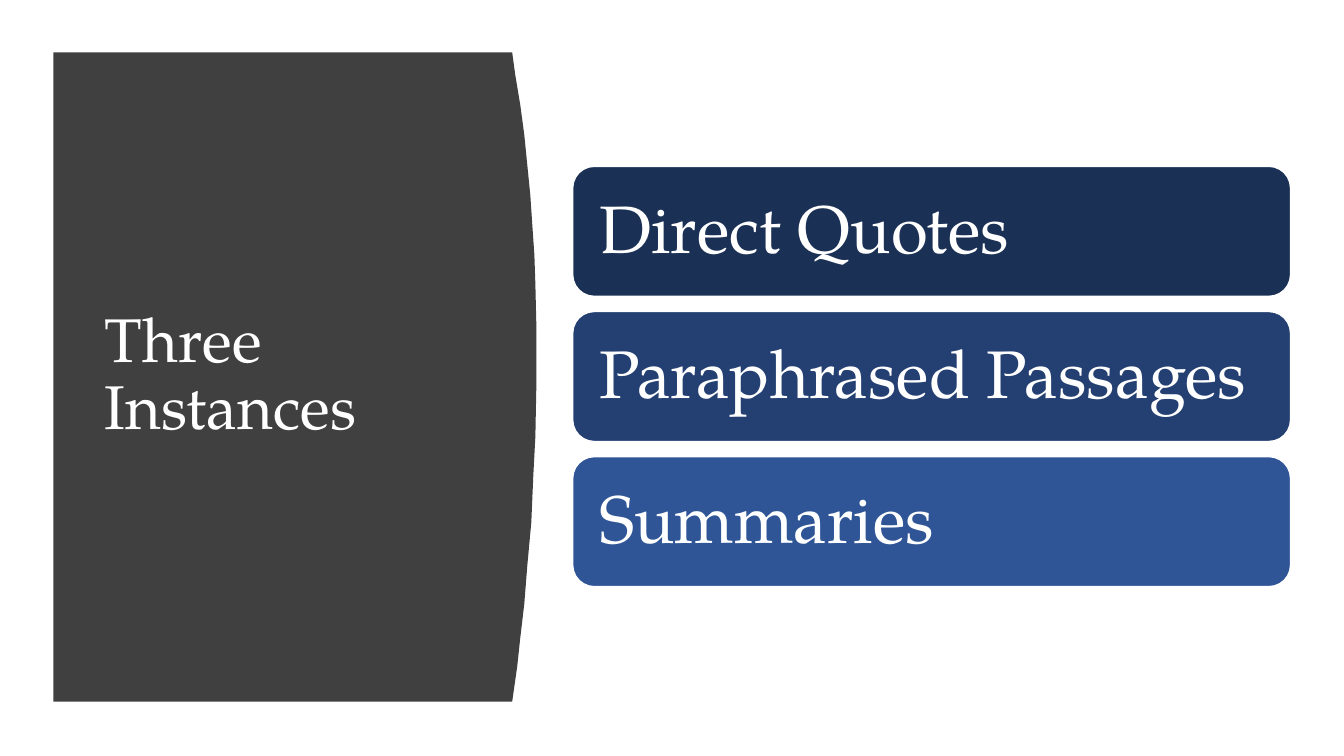
from pptx import Presentation
from pptx import util as u
from pptx.dml.color import RGBColor
from pptx.enum import shapes, text

CHARCOAL = RGBColor(0x40, 0x40, 0x40)
WHITE = RGBColor(0xFF, 0xFF, 0xFF)
NAVY = RGBColor(0x1B, 0x30, 0x55)
BLUE = RGBColor(0x24, 0x40, 0x72)
LIGHT_BLUE = RGBColor(0x2F, 0x55, 0x97)
FONT = "TeX Gyre Pagella"

CURVE = [(4.55, 0), (4.58, 0.22), (4.63, 0.52), (4.67, 0.82), (4.7, 1.12),
         (4.73, 1.42), (4.75, 1.72), (4.77, 2.01), (4.78, 2.3), (4.79, 2.73),
         (4.79, 3.28), (4.78, 3.81), (4.76, 4.19), (4.74, 4.66), (4.7, 5.09),
         (4.67, 5.47), (4.63, 5.81), (4.6, 6.09), (4.57, 6.3), (4.55, 6.44)]
INSTANCES = [("Direct Quotes", NAVY), ("Paraphrased Passages", BLUE),
             ("Summaries", LIGHT_BLUE)]


def write(tf, words, size):
    tf.word_wrap = True
    tf.vertical_anchor = text.MSO_ANCHOR.MIDDLE
    p = tf.paragraphs[0]
    p.alignment = text.PP_ALIGN.LEFT
    p.line_spacing = 0.9
    r = p.add_run()
    r.text = words
    r.font.name = FONT
    r.font.size = u.Pt(size)
    r.font.color.rgb = WHITE


def add_title_panel(s, left, top, height):
    outline = [(left + x, top + y) for x, y in CURVE] + [(left, top + height)]
    builder = s.shapes.build_freeform(u.Inches(left), u.Inches(top))
    builder.add_line_segments([(u.Inches(x), u.Inches(y)) for x, y in outline])
    panel = builder.convert_to_shape()
    panel.shadow.inherit = False
    panel.fill.solid()
    panel.fill.fore_color.rgb = CHARCOAL
    panel.line.fill.background()

    title = s.shapes.title
    title.left, title.top = u.Inches(left + 0.41), u.Inches(top + 0.59)
    title.width, title.height = u.Inches(3.74), u.Inches(height - 1.2)
    write(title.text_frame, "Three Instances", 44)
    s.shapes._spTree.append(title._element)


def add_instances(s, left, top, width, height, gap=0.15):
    bar_height = (height - gap * (len(INSTANCES) - 1)) / len(INSTANCES)
    for i, (words, color) in enumerate(INSTANCES):
        bar = s.shapes.add_shape(
            shapes.MSO_SHAPE.ROUNDED_RECTANGLE, u.Inches(left),
            u.Inches(top + i * (bar_height + gap)),
            u.Inches(width), u.Inches(bar_height))
        bar.shadow.inherit = False
        bar.fill.solid()
        bar.fill.fore_color.rgb = color
        bar.line.color.rgb = WHITE
        bar.line.width = u.Pt(1)
        tf = bar.text_frame
        tf.margin_left = tf.margin_right = u.Inches(0.2)
        tf.margin_top = tf.margin_bottom = u.Inches(0.2)
        write(tf, words, 48)


def main():
    prs = Presentation()
    prs.slide_width, prs.slide_height = u.Inches(13.33), u.Inches(7.5)
    s = prs.slides.add_slide(prs.slide_layouts[5])
    add_title_panel(s, 0.53, 0.52, 6.44)
    add_instances(s, 5.68, 1.65, 7.12, 4.17)
    prs.save("out.pptx")


if __name__ == "__main__":
    main()
